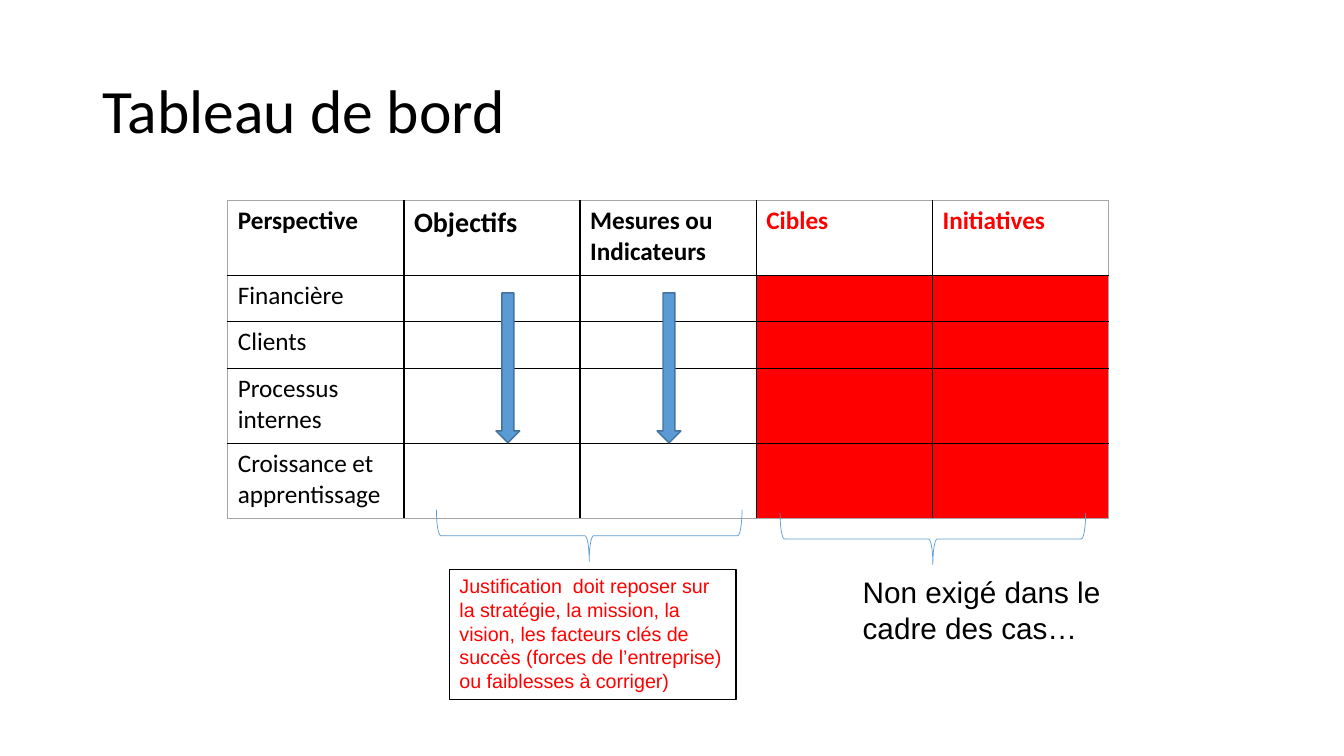
"""Build the balanced scorecard slide."""
from lxml import etree
from pptx import Presentation
from pptx.dml.color import RGBColor
from pptx.enum import shapes, text
from pptx.oxml import ns
from pptx.util import Cm, Pt

BLACK, RED, GREY = "000000", "FF0000", "A6A6A6"
BLUE, DARK_BLUE = "5B9BD5", "43739E"

TITLE = "Tableau de bord"
HEADERS = [("Perspective", 18, BLACK), ("Objectifs", 20, BLACK),
           ("Mesures ou Indicateurs", 18, BLACK),
           ("Cibles", 18, RED), ("Initiatives", 18, RED)]
PERSPECTIVES = ["Financière", "Clients", "Processus internes",
                "Croissance et apprentissage"]
JUSTIFICATION = ("Justification  doit reposer sur la stratégie, la mission, la vision, "
                 "les facteurs clés de succès (forces de l’entreprise) "
                 "ou faiblesses à corriger)")
NOT_REQUIRED = "Non exigé dans le cadre des cas…"

TABLE_LEFT, TABLE_TOP, COLUMN_WIDTH = 5.74, 5.05, 4.44
ROW_HEIGHTS = [1.89, 1.17, 1.17, 1.89, 1.89]
FIRST_RED_COLUMN = 3
ARROW_LEFTS = [12.5, 16.56]
BRACES = [(14.2, 9.65), (22.86, 9.73)]


def color(value):
    return RGBColor.from_string(value)


def write(frame, content, size, font="Calibri", fill=BLACK, bold=False, spacing=None):
    """Put one formatted paragraph in a text frame."""
    frame.word_wrap = True
    para = frame.paragraphs[0]
    para.alignment = text.PP_ALIGN.LEFT
    para.line_spacing = spacing
    span = para.add_run()
    span.text = content
    span.font.name, span.font.size, span.font.bold = font, Pt(size), bold
    span.font.color.rgb = color(fill)


def border(cell, sides):
    """Draw the cell borders given as (side, colour, width) in schema order."""
    properties = cell._tc.get_or_add_tcPr()
    for index, (side, value, width) in enumerate(sides):
        line = etree.Element(ns.qn(f"a:ln{side}"), w=str(int(Pt(width))))
        solid = etree.SubElement(line, ns.qn("a:solidFill"))
        etree.SubElement(solid, ns.qn("a:srgbClr"), val=value)
        properties.insert(index, line)


def add_scorecard(page):
    rows, columns = len(ROW_HEIGHTS), len(HEADERS)
    table = page.shapes.add_table(
        rows, columns, Cm(TABLE_LEFT), Cm(TABLE_TOP),
        Cm(COLUMN_WIDTH * columns), Cm(sum(ROW_HEIGHTS))).table
    table.first_row = table.horz_banding = False
    for column in table.columns:
        column.width = Cm(COLUMN_WIDTH)
    for row, height in zip(table.rows, ROW_HEIGHTS):
        row.height = Cm(height)

    vertical = [(GREY, 1)] + [(BLACK, 1.5)] * 2 + [(BLACK, 1)] * 2 + [(GREY, 1)]
    horizontal = [(GREY, 1), (BLACK, 1.5)] + [(BLACK, 1)] * 3 + [(GREY, 1)]
    for r in range(rows):
        for c in range(columns):
            cell = table.cell(r, c)
            if r and c >= FIRST_RED_COLUMN:
                cell.fill.solid()
                cell.fill.fore_color.rgb = color(RED)
            else:
                cell.fill.background()
            border(cell, [("L", *vertical[c]), ("R", *vertical[c + 1]),
                          ("T", *horizontal[r]), ("B", *horizontal[r + 1])])
    for c, (label, size, fill) in enumerate(HEADERS):
        write(table.cell(0, c).text_frame, label, size, fill=fill, bold=True)
    for r, label in enumerate(PERSPECTIVES, 1):
        write(table.cell(r, 0).text_frame, label, 18)


def add_figure(page, kind, place, line, width, fill=None):
    """Add a preset shape with an outline and an optional fill."""
    figure = page.shapes.add_shape(kind, *map(Cm, place))
    figure.shadow.inherit = False
    figure.line.color.rgb = color(line)
    figure.line.width = Pt(width)
    if fill:
        figure.fill.solid()
        figure.fill.fore_color.rgb = color(fill)
    else:
        figure.fill.background()
    return figure


def main():
    deck = Presentation()
    deck.slide_width, deck.slide_height = Cm(33.87), Cm(19.05)
    page = deck.slides.add_slide(deck.slide_layouts[5])

    title = page.shapes.title
    title.left, title.top, title.width, title.height = map(Cm, (2.33, 1.01, 29.21, 3.68))
    title.text_frame.vertical_anchor = text.MSO_ANCHOR.MIDDLE
    write(title.text_frame, TITLE, 44, spacing=0.9)

    add_scorecard(page)

    preset = shapes.MSO_SHAPE
    box = add_figure(page, preset.RECTANGLE, (11.33, 14.34, 7.22, 3.3), BLACK, 0.75)
    box.text_frame.vertical_anchor = text.MSO_ANCHOR.TOP
    write(box.text_frame, JUSTIFICATION, 14.1, font="Arial", fill=RED)

    remark = page.shapes.add_textbox(*map(Cm, (21.49, 14.34, 7.32, 2.06)))
    write(remark.text_frame, NOT_REQUIRED, 21.2, font="Arial")

    for left in ARROW_LEFTS:
        add_figure(page, preset.DOWN_ARROW, (left, 7.38, 0.6, 3.78), DARK_BLUE, 1, BLUE)
    for left, top in BRACES:
        brace = add_figure(page, preset.LEFT_BRACE, (left, top, 1.3, 7.7), BLUE, 0.5)
        brace.rotation = 270

    deck.save("out.pptx")


if __name__ == "__main__":
    main()
